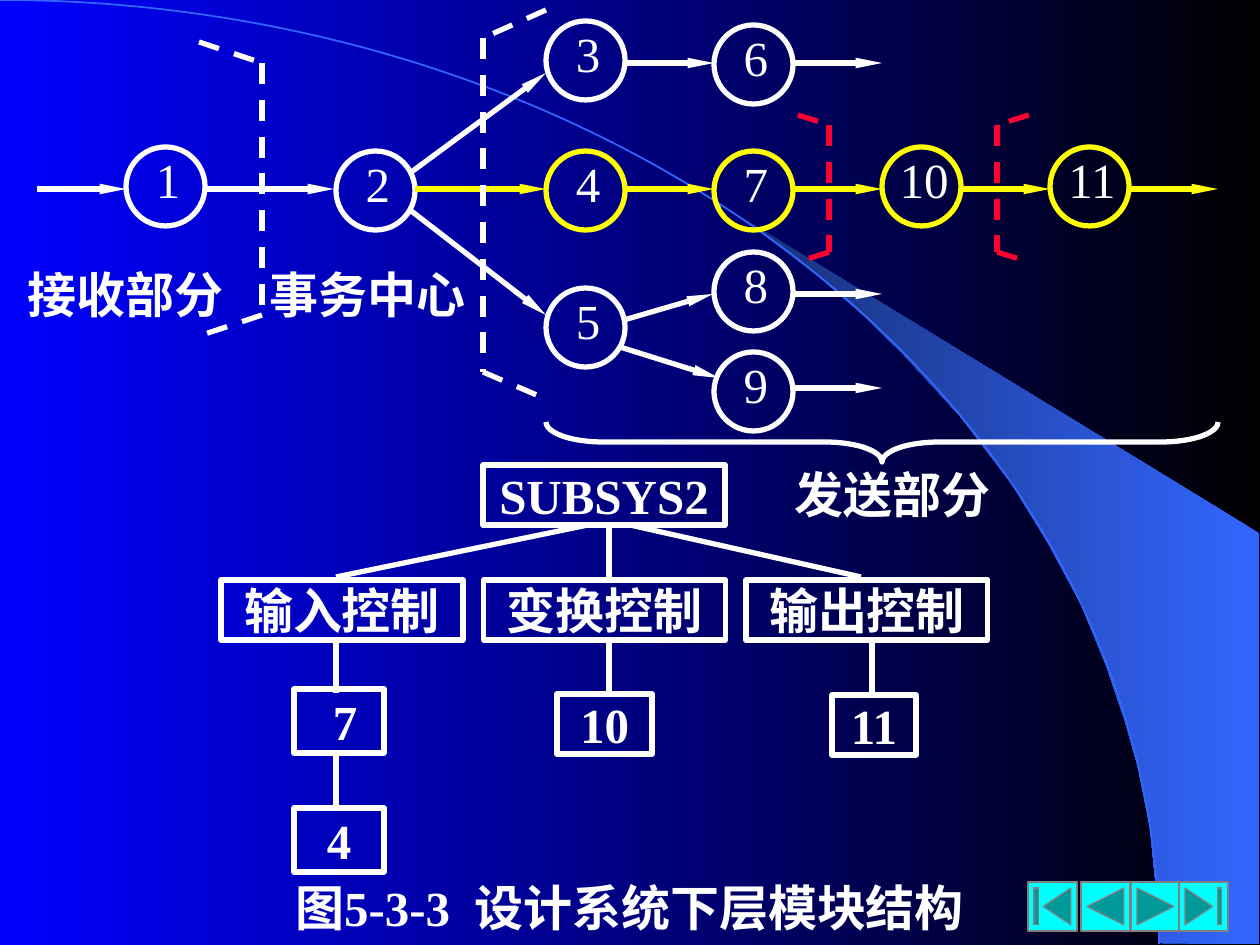
from lxml.etree import SubElement
from pptx import Presentation
from pptx.dml.color import RGBColor
from pptx.enum.dml import MSO_LINE
from pptx.enum.shapes import MSO_CONNECTOR, MSO_SHAPE
from pptx.enum.text import MSO_ANCHOR, MSO_AUTO_SIZE, PP_ALIGN
from pptx.oxml.ns import qn
from pptx.util import Emu, Pt

WHITE = RGBColor(0xFF, 0xFF, 0xFF)
YELLOW = RGBColor(0xFF, 0xFF, 0x00)
RED = RGBColor(0xFF, 0x00, 0x33)
BLACK = RGBColor(0x00, 0x00, 0x00)
BLUE = RGBColor(0x00, 0x00, 0xFF)
SKY = RGBColor(0x33, 0x66, 0xFF)
NAVY = RGBColor(0x17, 0x2F, 0x75)
CYAN = RGBColor(0x00, 0xFF, 0xFF)
GRAY = RGBColor(0x80, 0x80, 0x80)
FONT = "Times New Roman"


def px(length):
    return Emu(round(length * 914400 / 126))


def write(frame, text, bold=True, anchor=MSO_ANCHOR.MIDDLE, inset=0):
    frame.word_wrap = True
    frame.auto_size = MSO_AUTO_SIZE.NONE
    frame.vertical_anchor = anchor
    frame.margin_left = frame.margin_right = px(2 * inset)
    frame.margin_top = frame.margin_bottom = px(inset)
    para = frame.paragraphs[0]
    para.alignment = PP_ALIGN.CENTER
    span = para.add_run()
    span.text = text
    span.font.name = FONT
    span.font.size = Pt(28)
    span.font.bold = bold
    span.font.color.rgb = WHITE


def add_label(page, text, left, top, width, bold=True):
    box = page.shapes.add_textbox(px(left), px(top), px(width), px(63))
    write(box.text_frame, text, bold)


def add_outline(page, kind, left, top, width, height, color=WHITE, weight=3):
    shape = page.shapes.add_shape(kind, px(left), px(top), px(width), px(height))
    shape.shadow.inherit = False
    shape.fill.background()
    shape.line.color.rgb = color
    shape.line.width = Pt(weight)
    return shape


def add_line(page, start, end, color=WHITE, arrow=False, dashed=False):
    line = page.shapes.add_connector(
        MSO_CONNECTOR.STRAIGHT, *(px(value) for value in (*start, *end)))
    line.line.color.rgb = color
    line.line.width = Pt(3)
    if dashed:
        line.line.dash_style = MSO_LINE.DASH
    properties = line._element.spPr
    if arrow:
        SubElement(line.line._get_or_add_ln(), qn("a:tailEnd"),
                   type="triangle", w="sm", len="lg")
    SubElement(properties, qn("a:effectLst"))


def set_gradient(fill, first, last):
    fill.gradient()
    fill.gradient_angle = 180
    for stop, color in zip(fill.gradient_stops, (first, last)):
        stop.color.rgb = color


def add_backdrop(page, width, height):
    set_gradient(page.background.fill, BLACK, BLUE)
    # Swoosh between the arc and the right edge
    points = [(1159, 943), (1259, 944), (1259, 533), (742, 218), (786, 251),
              (823, 280), (863, 315), (902, 353), (960, 416), (1012, 484),
              (1048, 543), (1081, 604), (1106, 665), (1125, 721), (1138, 767),
              (1150, 827), (1155, 877)]
    builder = page.shapes.build_freeform(*points[0], scale=914400 / 126)
    builder.add_line_segments(points[1:], close=True)
    swoosh = builder.convert_to_shape()
    swoosh.shadow.inherit = False
    swoosh.line.fill.background()
    set_gradient(swoosh.fill, SKY, NAVY)
    # Quarter ellipse around the lower left corner
    add_outline(page, MSO_SHAPE.ARC, -width, 0, 2 * width, 2 * height, SKY, 1)


def add_flow(page, left, top):
    """Data flow graph: numbered nodes joined by arrows."""
    nodes = [("1", 126, 147, WHITE), ("2", 336, 151, WHITE), ("3", 546, 21, WHITE),
             ("4", 546, 151, YELLOW), ("5", 546, 288, WHITE), ("6", 714, 25, WHITE),
             ("7", 714, 151, YELLOW), ("8", 714, 252, WHITE), ("9", 714, 352, WHITE),
             ("10", 882, 147, YELLOW), ("11", 1050, 147, YELLOW)]
    for text, x, y, color in nodes:
        add_outline(page, MSO_SHAPE.OVAL, left + x, top + y, 79, 79, color)
        add_label(page, text, left + x, top + y, 84, bold=False)

    level = [(37, 126, 189, WHITE), (205, 334, 189, WHITE), (415, 546, 189, YELLOW),
             (625, 714, 63, WHITE), (793, 882, 63, WHITE),
             (793, 882, 294, WHITE), (793, 882, 388, WHITE)]
    level += [(x, x + 89, 189, YELLOW) for x in range(625, 1130, 168)]
    slanted = [(410, 210, 546, 315), (410, 173, 546, 73),
               (624, 320, 713, 294), (620, 347, 719, 378)]
    arrows = [(x1, y, x2, y, color) for x1, x2, y, color in level]
    arrows += [(*ends, WHITE) for ends in slanted]
    for x1, y1, x2, y2, color in arrows:
        add_line(page, (left + x1, top + y1), (left + x2, top + y2), color, arrow=True)


def add_bracket(page, spine, top, bottom, upper, lower, color):
    """Dashed boundary: a vertical spine with a slanted end at each tip."""
    corners = [upper, (spine, top), (spine, bottom), lower]
    for start, end in zip(corners, corners[1:]):
        add_line(page, start, end, color, dashed=True)


def add_brace(page, left, top, width, height):
    # The brace is drawn upright, then turned so that its tip points down
    brace = add_outline(page, MSO_SHAPE.LEFT_BRACE, left + (width - height) / 2,
                        top + (height - width) / 2, height, width)
    brace.adjustments[0] = 1.43
    brace.rotation = 270


def add_module(page, text, left, top, width, height=60):
    box = add_outline(page, MSO_SHAPE.RECTANGLE, left, top, width, height)
    write(box.text_frame, text)


def add_structure(page, left, top):
    """Module tree: one root, three controllers and their leaves."""
    add_module(page, "SUBSYS2", left + 262, top, 242)
    for index, text in enumerate(("输入控制", "变换控制", "输出控制")):
        add_module(page, text, left + 262.5 * index, top + 115, 242)
    leaves = [(" 7", 73, 224, 90, 64), ("4", 73, 343, 90, 64),
              ("10", 336, 229, 95, 60), ("11", 611, 230, 84, 60)]
    for text, x, y, width, height in leaves:
        add_module(page, text, left + x, top + y, width, height)

    links = [(367, 60, 115, 112), (388, 60, 388, 112), (409, 60, 640, 112),
             (115, 289, 115, 343)]
    links += [(x, 175, x, 228) for x in (115, 388, 651)]
    for x1, y1, x2, y2 in links:
        add_line(page, (left + x1, top + y1), (left + x2, top + y2))


def add_navigation(page, left, top):
    buttons = [(MSO_SHAPE.ACTION_BUTTON_BEGINNING, 0),
               (MSO_SHAPE.ACTION_BUTTON_BACK_OR_PREVIOUS, 53),
               (MSO_SHAPE.ACTION_BUTTON_FORWARD_OR_NEXT, 103),
               (MSO_SHAPE.ACTION_BUTTON_END, 151)]
    for kind, x in buttons:
        button = add_outline(page, kind, left + x, top, 49, 49, GRAY, 0.75)
        button.fill.solid()
        button.fill.fore_color.rgb = CYAN


def add_caption(page, left, top, width, height):
    title = page.shapes.title
    title.left, title.top = px(left), px(top)
    title.width, title.height = px(width), px(height)
    write(title.text_frame, "图5-3-3  设计系统下层模块结构",
          anchor=MSO_ANCHOR.TOP, inset=6)


def main():
    deck = Presentation()
    deck.slide_width, deck.slide_height = px(1260), px(945)
    page = deck.slides.add_slide(deck.slide_layouts[5])
    add_backdrop(page, 1159, 944)
    add_caption(page, 94, 872, 1071, 73)
    add_navigation(page, 1028, 882)
    add_flow(page, 0, 0)
    # Boundaries between the parts of the flow
    add_bracket(page, 262, 63, 315, (199, 42), (199, 336), WHITE)
    add_bracket(page, 483, 38, 372, (546, 10), (546, 399), WHITE)
    add_bracket(page, 829, 125, 252, (798, 115), (798, 262), RED)
    add_bracket(page, 997, 125, 252, (1029, 115), (1029, 262), RED)
    # Names of the parts
    for text, left, top in (("接收部分", 10, 262), ("事务中心", 252, 262),
                            ("发送部分", 777, 462)):
        add_label(page, text, left, top, 231)
    add_brace(page, 546, 422, 672, 40)
    add_structure(page, 221, 465)
    deck.save("out.pptx")


if __name__ == "__main__":
    main()
